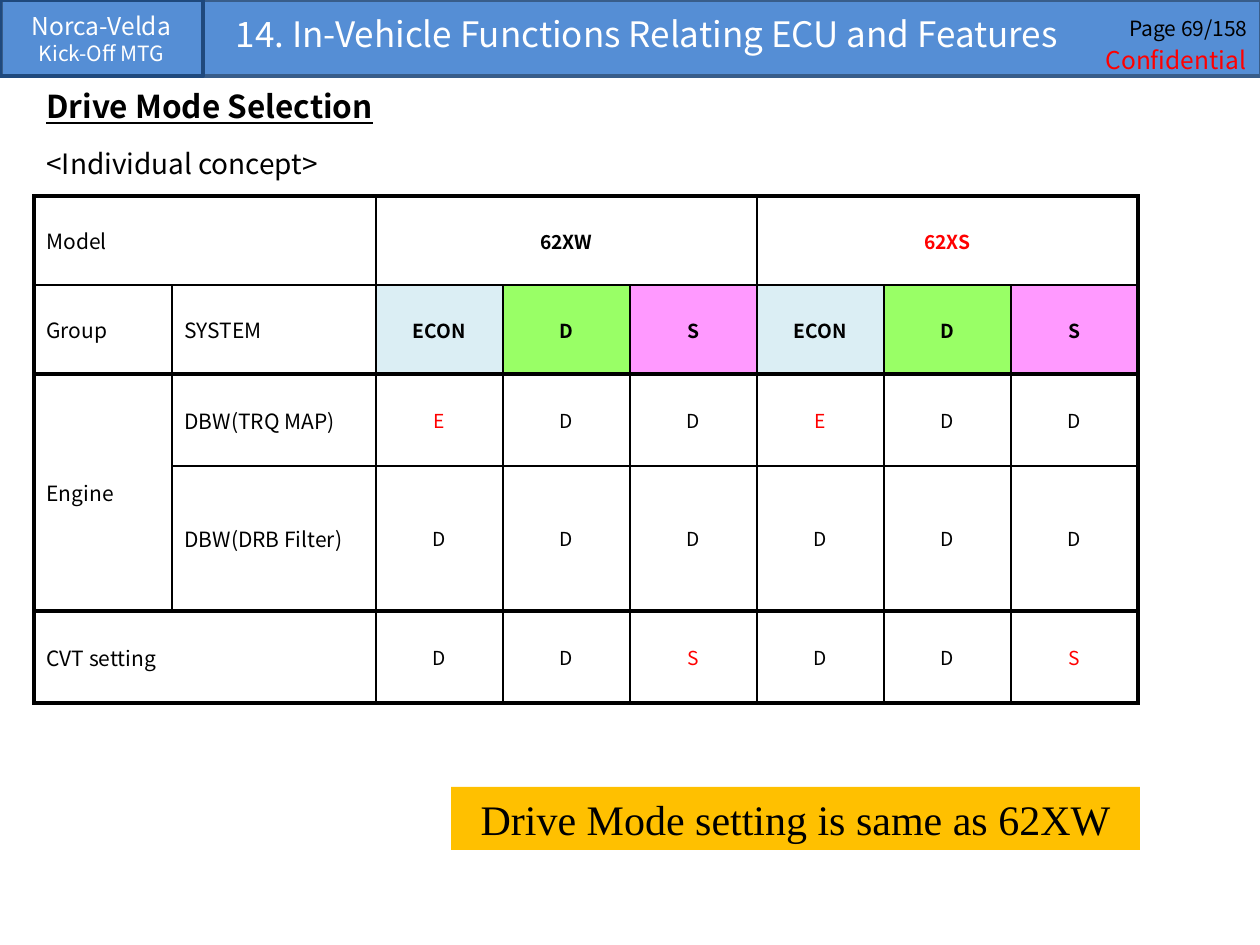
"""Build the drive mode selection slide with its header band, table and conclusion."""
from lxml import etree
from pptx import Presentation, util as u
from pptx.dml.color import RGBColor
from pptx.enum import shapes, text
from pptx.oxml import ns

SCALE = 914400 / 126
SANS = "Noto Sans CJK JP"
ALIGN = {"l": text.PP_ALIGN.LEFT, "c": text.PP_ALIGN.CENTER, "r": text.PP_ALIGN.RIGHT}
RED, BLACK, WHITE = "FF0000", "000000", "FFFFFF"


def px(*lengths):
    return [u.Emu(round(length * SCALE)) for length in lengths]


def write(paragraph, words, size, color=BLACK, align="l", name=SANS, **extra):
    paragraph.alignment = ALIGN[align]
    run = paragraph.add_run()
    run.text = words
    run.font.color.rgb = RGBColor.from_string(color)
    formats = {"name": name, "size": u.Pt(size), "bold": False, **extra}
    for attribute, value in formats.items():
        setattr(run.font, attribute, value)


presentation = Presentation()
presentation.slide_width, presentation.slide_height = px(1260, 945)
slide = presentation.slides.add_slide(presentation.slide_layouts[6])

rectangles = [
    ((1, 0, 1260, 76), "558ED5", "385D8A", "middle", []),
    ((0, 0, 203, 76), None, "1F497D", "middle",
     [("Norca-Velda", 14, WHITE, "c"), ("Kick-Off MTG", 12, WHITE, "c")]),
    ((451, 787, 689, 63), "FFC000", None, "top",
     [("Drive Mode setting is same as 62XW", 24, BLACK, "c", "Times New Roman")]),
]
for box, fill, line, anchor, lines in rectangles:
    shape = slide.shapes.add_shape(shapes.MSO_SHAPE.RECTANGLE, *px(*box))
    shape.shadow.inherit = False
    if fill:
        shape.fill.solid()
        shape.fill.fore_color.rgb = RGBColor.from_string(fill)
    else:
        shape.fill.background()
    if line:
        shape.line.color.rgb = RGBColor.from_string(line)
        shape.line.width = u.Pt(2)
    else:
        shape.line.fill.background()
    frame = shape.text_frame
    frame.vertical_anchor = getattr(text.MSO_ANCHOR, anchor.upper())
    for index, entry in enumerate(lines):
        paragraph = frame.add_paragraph() if index else frame.paragraphs[0]
        write(paragraph, *entry)

labels = [
    ((1079, 3, 181, 50), "middle", True, 1, ("Page 69/158", 12, BLACK, "r"), {}),
    ((1092, 38, 168, 43), "middle", False, 1, ("Confidential", 14, RED, "c"), {}),
    ((34, 69, 379, 57), "top", False, 1.3, ("Drive Mode Selection", 18),
     {"bold": True, "underline": True}),
    ((34, 140, 761, 47), "top", True, 1, ("<Individual concept>", 16), {}),
    ((34, 6, 1226, 56), "top", True, 1,
     ("14. In-Vehicle Functions Relating ECU and Features", 20, WHITE, "c"), {}),
]
for box, anchor, wrap, spacing, entry, extra in labels:
    frame = slide.shapes.add_textbox(*px(*box)).text_frame
    frame.word_wrap = wrap
    frame.vertical_anchor = getattr(text.MSO_ANCHOR, anchor.upper())
    frame.paragraphs[0].line_spacing = spacing
    write(frame.paragraphs[0], *entry, **extra)

rows = [
    ["Model", "", "62XW", "", "", "62XS", "", ""],
    ["Group", "SYSTEM"] + ["ECON", "D", "S"] * 2,
    ["Engine", "DBW(TRQ MAP)"] + ["E", "D", "D"] * 2,
    ["", "DBW(DRB Filter)"] + ["D"] * 6,
    ["CVT setting", ""] + ["D", "D", "S"] * 2,
]
row_heights = [89, 89, 92, 145, 92]
column_widths = [138, 204] + [127] * 6
mode_fills = ["DBEEF4", "99FF66", "FF99FF"]
red_cells = {(0, 5), (2, 2), (2, 5), (4, 4), (4, 7)}
merges = [(0, 0, 0, 1), (0, 2, 0, 4), (0, 5, 0, 7), (2, 0, 3, 0), (4, 0, 4, 1)]
thick_rows, thick_columns = {0, 2, 4, 5}, {0, 8}

table = slide.shapes.add_table(
    len(rows), len(column_widths),
    *px(34, 196, sum(column_widths), sum(row_heights))).table
table.first_row = table.horz_banding = False
for column, width in zip(table.columns, px(*column_widths)):
    column.width = width
for row, height in zip(table.rows, px(*row_heights)):
    row.height = height
for top, left, bottom, right in merges:
    table.cell(top, left).merge(table.cell(bottom, right))

for r, values in enumerate(rows):
    for c, value in enumerate(values):
        cell = table.cell(r, c)
        if cell.is_spanned:
            continue
        bottom = r + (cell.span_height if cell.is_merge_origin else 1)
        right = c + (cell.span_width if cell.is_merge_origin else 1)
        edges = {"lnL": c in thick_columns, "lnR": right in thick_columns,
                 "lnT": r in thick_rows, "lnB": bottom in thick_rows}
        properties = cell._tc.get_or_add_tcPr()
        for tag, thick in edges.items():
            border = etree.SubElement(properties, ns.qn("a:" + tag),
                                      w=str(u.Pt(2.25 if thick else 1)))
            solid = etree.SubElement(border, ns.qn("a:solidFill"))
            etree.SubElement(solid, ns.qn("a:srgbClr"), val=BLACK)
        if r == 1 and c > 1:
            cell.fill.solid()
            cell.fill.fore_color.rgb = RGBColor.from_string(mode_fills[(c - 2) % 3])
        else:
            cell.fill.background()
        cell.vertical_anchor = text.MSO_ANCHOR.MIDDLE
        write(cell.text_frame.paragraphs[0], value, 11 if c > 1 else 12,
              RED if (r, c) in red_cells else BLACK, "c" if c > 1 else "l",
              bold=r < 2 and c > 1)

presentation.save("out.pptx")
